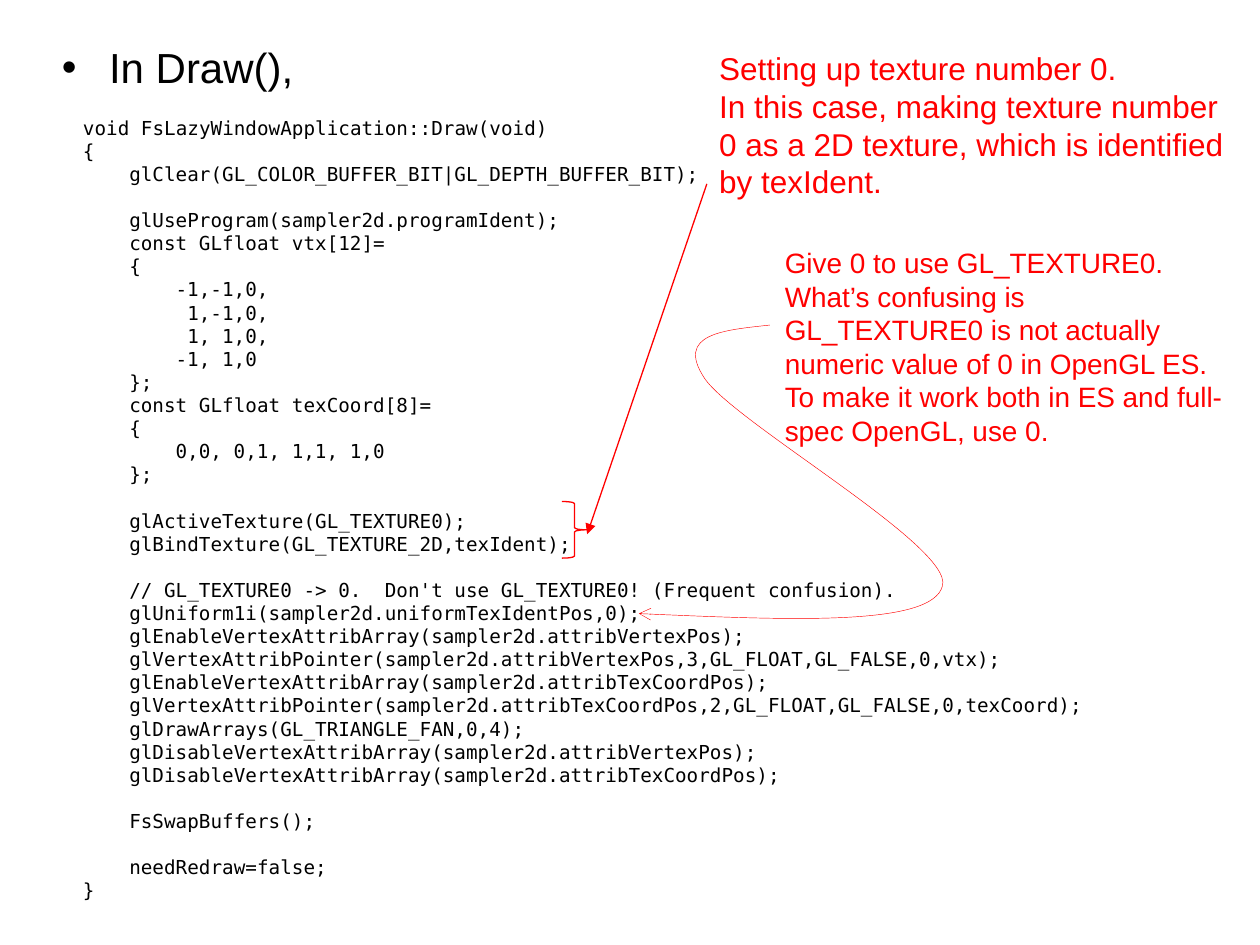
import pptx
import pptx.util
import pptx.dml.color
import pptx.enum.shapes
import pptx.oxml
import pptx.oxml.ns
import lxml.etree
from dataclasses import dataclass

Inches = pptx.util.Inches
Pt = pptx.util.Pt
qn = pptx.oxml.ns.qn


@dataclass
class Theme:
    ink: str = "000000"
    note: str = "FF0000"
    sans: str = "Arial"
    mono: str = "DejaVu Sans Mono"
    head: float = 24
    big: float = 18
    mid: float = 16
    code: float = 11
    char: float = 0.092
    gap: float = 13.2
    line: float = 0.75
    thin: float = 0.25


class Deck:
    def __init__(self, theme):
        self.theme = theme
        self.file = pptx.Presentation()
        self.file.slide_width = Inches(10)
        self.file.slide_height = Inches(7.5)
        self.slide = self.file.slides.add_slide(self.file.slide_layouts[1])
        title = self.slide.shapes.title
        title.element.getparent().remove(title.element)

    def run(self, para, text, size, color, font):
        run = para.add_run()
        run.text = text
        run.font.size = Pt(size)
        run.font.name = font
        run.font.color.rgb = pptx.dml.color.RGBColor.from_string(color)

    def bullet(self, text, *box):
        body = self.slide.placeholders[1]
        body.left, body.top, body.width, body.height = map(Inches, box)
        para = body.text_frame.paragraphs[0]
        self.run(para, text, self.theme.head, self.theme.ink, self.theme.sans)

    def paras(self, count, box):
        frame = self.slide.shapes.add_textbox(*map(Inches, box)).text_frame
        frame.word_wrap = True
        for _ in range(count - 1):
            frame.add_paragraph()
        return frame.paragraphs

    def note(self, lines, size, *box):
        for para, text in zip(self.paras(len(lines), box), lines):
            self.run(para, text, size, self.theme.note, self.theme.sans)

    def code(self, blocks, *box):
        theme = self.theme
        rows = [(i > 0 and j == 0, row) for i, block in enumerate(blocks)
                for j, row in enumerate(block.strip("\n").splitlines())]
        for para, (first, row) in zip(self.paras(len(rows), box), rows):
            bare = row.lstrip()
            para.space_before = Pt(theme.gap if first else 0)
            left = Inches((len(row) - len(bare)) * theme.char)
            para._p.get_or_add_pPr().set("marL", str(left))
            self.run(para, bare, theme.code, theme.ink, theme.mono)

    def stroke(self, shape, width, tail=None):
        shape.line.color.rgb = pptx.dml.color.RGBColor.from_string(self.theme.note)
        shape.line.width = Pt(width)
        if tail:
            end = lxml.etree.SubElement(shape.line._get_or_add_ln(), qn("a:tailEnd"))
            end.set("type", tail)

    def brace(self, *box):
        kind = pptx.enum.shapes.MSO_SHAPE.RIGHT_BRACE
        shape = self.slide.shapes.add_shape(kind, *map(Inches, box))
        shape.shadow.inherit = False
        shape.fill.background()
        self.stroke(shape, self.theme.line)

    def arrow(self, *ends):
        kind = pptx.enum.shapes.MSO_CONNECTOR.STRAIGHT
        line = self.slide.shapes.add_connector(kind, *map(Inches, ends))
        self.stroke(line, self.theme.line, "triangle")
        lxml.etree.SubElement(line.element.spPr, qn("a:effectLst"))

    def curve(self, points, width, height):
        dots = [(Inches(x), Inches(y)) for x, y in points]
        form = self.slide.shapes.build_freeform(*dots[0])
        form.add_line_segments(dots[1:], close=False)
        shape = form.convert_to_shape()
        shape.shadow.inherit = False
        shape.fill.background()
        shape.width, shape.height = Inches(width), Inches(height)
        track = shape.element.find(".//" + qn("a:path"))
        track.set("w", str(shape.width))
        track.set("h", str(shape.height))
        steps = track.findall(qn("a:lnTo"))
        for i in range(0, len(steps), 3):
            bend = lxml.etree.SubElement(track, qn("a:cubicBezTo"))
            for step in steps[i:i + 3]:
                bend.append(step[0])
                track.remove(step)
        self.stroke(shape, self.theme.thin, "arrow")


CODE = ["""
void FsLazyWindowApplication::Draw(void)
{
    glClear(GL_COLOR_BUFFER_BIT|GL_DEPTH_BUFFER_BIT);
""", """
    glUseProgram(sampler2d.programIdent);
    const GLfloat vtx[12]=
    {
        -1,-1,0,
         1,-1,0,
         1, 1,0,
        -1, 1,0
    };
    const GLfloat texCoord[8]=
    {
        0,0, 0,1, 1,1, 1,0
    };
""", """
    glActiveTexture(GL_TEXTURE0);
    glBindTexture(GL_TEXTURE_2D,texIdent);
""", """
    // GL_TEXTURE0 -> 0.  Don't use GL_TEXTURE0! (Frequent confusion).
    glUniform1i(sampler2d.uniformTexIdentPos,0);
    glEnableVertexAttribArray(sampler2d.attribVertexPos);
    glVertexAttribPointer(sampler2d.attribVertexPos,3,GL_FLOAT,GL_FALSE,0,vtx);
    glEnableVertexAttribArray(sampler2d.attribTexCoordPos);
    glVertexAttribPointer(sampler2d.attribTexCoordPos,2,GL_FLOAT,GL_FALSE,0,texCoord);
    glDrawArrays(GL_TRIANGLE_FAN,0,4);
    glDisableVertexAttribArray(sampler2d.attribVertexPos);
    glDisableVertexAttribArray(sampler2d.attribTexCoordPos);
""", """
    FsSwapBuffers();
""", """
    needRedraw=false;
}
"""]

theme = Theme()
deck = Deck(theme)
deck.bullet("In Draw(),", 0.39, 0.28, 9, 0.75)
deck.code(CODE, 0.56, 0.87, 8.19, 6.58)
deck.brace(4.46, 3.98, 0.2, 0.45)
deck.arrow(5.61, 1.46, 4.66, 4.24)
deck.note(["Setting up texture number 0.",
           "In this case, making texture number 0 as a 2D texture, "
           "which is identified by texIdent."],
          theme.big, 5.61, 0.34, 4.24, 1.31)
deck.note(["Give 0 to use GL_TEXTURE0.  What\u2019s confusing is GL_TEXTURE0 "
           "is not actually numeric value of 0 in OpenGL ES.  To make it work "
           "both in ES and full-spec OpenGL, use 0."],
          theme.mid, 6.13, 1.9, 3.71, 1.72)
deck.curve([(6.11, 2.58),
            (5.74, 2.62), (5.36, 2.65), (5.59, 3),
            (5.82, 3.35), (7.57, 4.34), (7.48, 4.65),
            (7.4, 4.97), (6.23, 4.92), (5.07, 4.87)], 2.41, 2.32)
deck.file.save("out.pptx")
